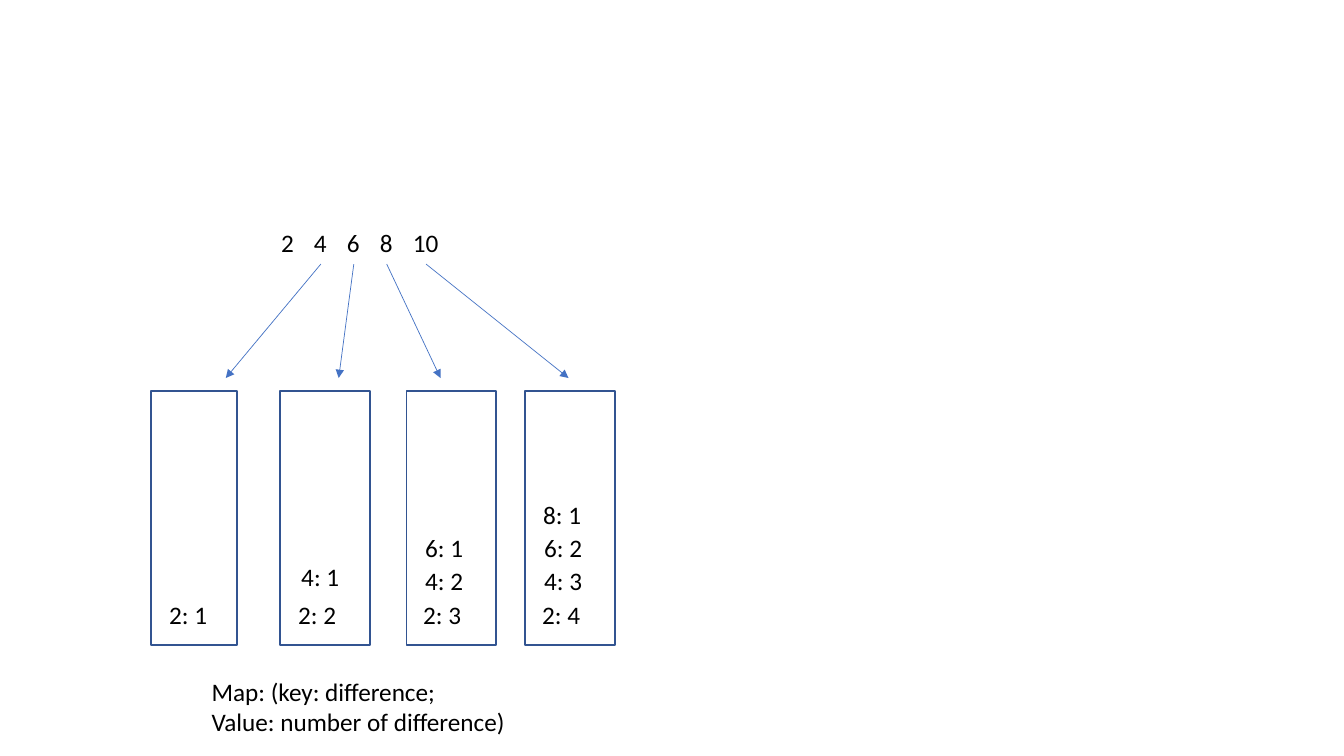
from lxml import etree
from pptx import Presentation
from pptx import util as u
from pptx.dml.color import RGBColor
from pptx.enum import shapes, text
from pptx.oxml import ns

BLACK = RGBColor(0x00, 0x00, 0x00)
BLUE = RGBColor(0x44, 0x72, 0xC4)
NAVY = RGBColor(0x32, 0x54, 0x91)

COLUMNS, ROWS = 40, 22.5
NUMBERS = [2, 4, 6, 8, 10]
NUMBER_LEFT, NUMBER_STEP, NUMBER_TOP = 8.07, 0.98, 6.63
ARROW_TOP, ARROW_BOTTOM = 7.86, 11.25
MAP_TOP, MAP_HEIGHT = 11.64, 7.56
LINE_HEIGHT = 1.2

# left, width, arrow tip, (indent, top) of each entry from the bottom up
MAPS = [
    (4.5, 2.55, 6.72, [(0.24, 17.7)]),
    (8.34, 2.67, 10.08, [(0.24, 17.7), (0.33, 16.56)]),
    (12.09, 2.67, 13.11, [(0.21, 17.7), (0.27, 16.69), (0.27, 15.69)]),
    (15.63, 2.67, 16.92, [(0.21, 17.7), (0.27, 16.69), (0.27, 15.69), (0.24, 14.7)]),
]


class Sketch:
    def __init__(self, deck):
        self.page = deck.slides.add_slide(deck.slide_layouts[6])
        self.column = deck.slide_width / COLUMNS
        self.row = deck.slide_height / ROWS
        self.font, self.size = "Calibri", u.Pt(18)

    def place(self, left, top, width, height):
        return (round(left * self.column), round(top * self.row),
                round(width * self.column), round(height * self.row))

    def label(self, lines, left, top, width, height=LINE_HEIGHT):
        box = self.page.shapes.add_textbox(*self.place(left, top, width, height))
        frame = box.text_frame
        frame.word_wrap = True
        frame.auto_size = text.MSO_AUTO_SIZE.SHAPE_TO_FIT_TEXT
        frame.text = lines
        for para in frame.paragraphs:
            para.font.name, para.font.size = self.font, self.size
            para.font.color.rgb = BLACK

    def frame(self, left, top, width, height):
        box = self.page.shapes.add_shape(
            shapes.MSO_SHAPE.FLOWCHART_PROCESS, *self.place(left, top, width, height))
        box.shadow.inherit = False
        box.fill.background()
        box.line.color.rgb = NAVY
        box.line.width = u.Pt(1)

    def arrow(self, start, top, tip, bottom):
        line = self.page.shapes.add_connector(
            shapes.MSO_CONNECTOR.STRAIGHT, *self.place(start, top, tip, bottom))
        line.line.color.rgb = BLUE
        line.line.width = u.Pt(0.5)
        properties = line.line._get_or_add_ln()
        etree.SubElement(properties, ns.qn("a:tailEnd"), type="triangle")
        etree.SubElement(line._element.spPr, ns.qn("a:effectLst"))


def main():
    deck = Presentation()
    deck.slide_width, deck.slide_height = u.Inches(13.33), u.Inches(7.5)
    sketch = Sketch(deck)

    centers = []
    for index, number in enumerate(NUMBERS):
        left = NUMBER_LEFT + index * NUMBER_STEP
        width = 1.38 if number >= 10 else 1
        sketch.label(str(number), left, NUMBER_TOP, width)
        centers.append(left + width / 2)

    for count, (left, width, tip, entries) in enumerate(MAPS, start=1):
        sketch.frame(left, MAP_TOP, width, MAP_HEIGHT)
        for level, (indent, top) in enumerate(entries):
            sketch.label(f"{NUMBERS[level]}: {count - level}", left + indent, top, 2.04)
        sketch.arrow(centers[count], ARROW_TOP, tip, ARROW_BOTTOM)

    sketch.label("Map: (key: difference;\nValue: number of difference)", 6, 19.98, 9.84, 2.13)
    deck.save("out.pptx")


if __name__ == "__main__":
    main()
